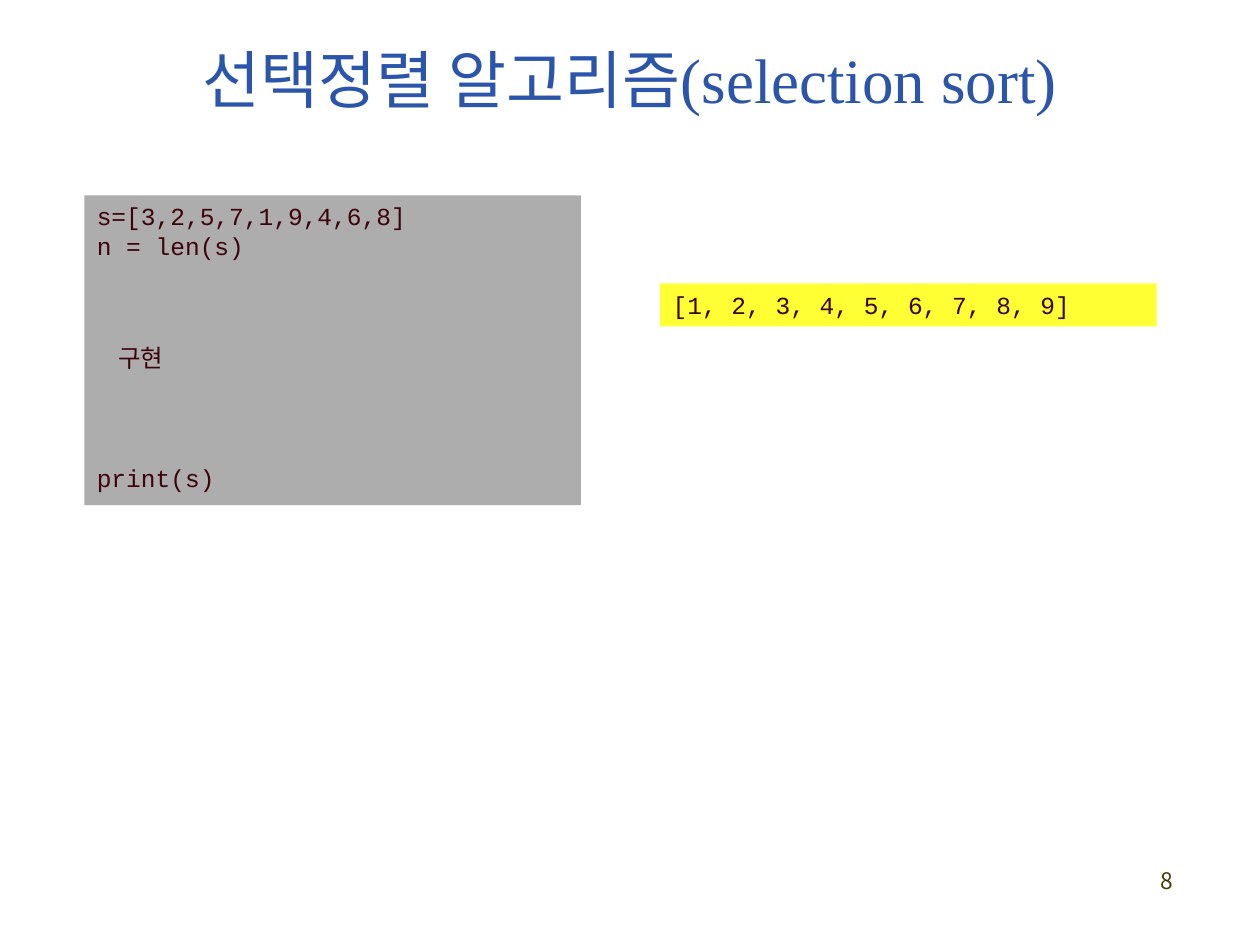
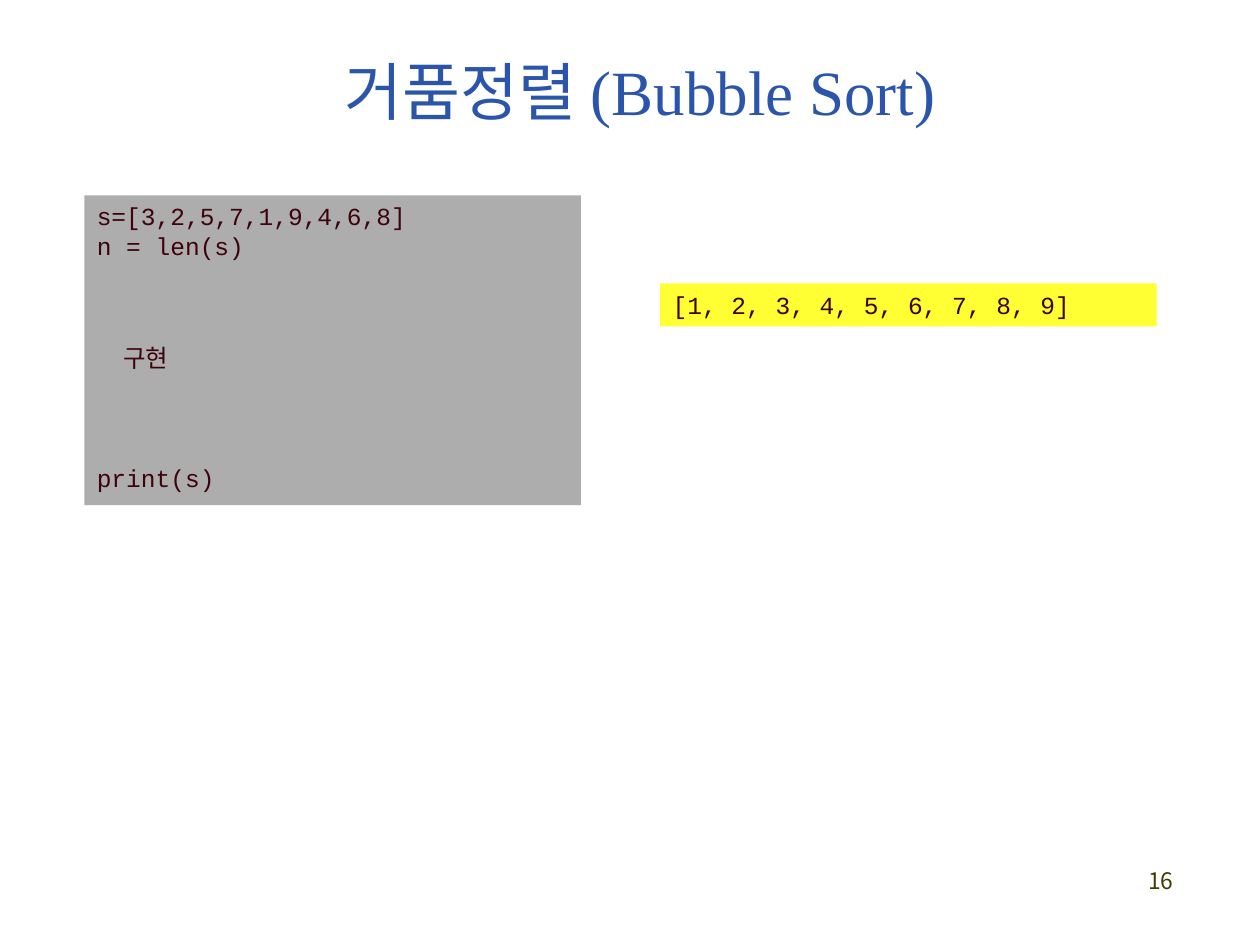
from lxml import etree
from pptx import Presentation
from pptx.dml.color import RGBColor
from pptx.enum import shapes, text
from pptx.oxml.ns import qn
from pptx.util import Inches, Pt

TITLE_BLUE = RGBColor(0x2A, 0x55, 0xAA)
CODE_MAROON = RGBColor(0x3E, 0x02, 0x0C)
NUMBER_OLIVE = RGBColor(0x3F, 0x3E, 0x00)
CODE_GRAY = RGBColor(0xAD, 0xAD, 0xAD)
RESULT_YELLOW = RGBColor(0xFF, 0xFF, 0x33)
KOREAN_FONT = "Noto Sans CJK KR"
CODE_FONT = "Courier New"
LEFT, CENTER, RIGHT = text.PP_ALIGN.LEFT, text.PP_ALIGN.CENTER, text.PP_ALIGN.RIGHT


def write(paragraph, words, font, size, color, align=LEFT):
    """Add one run, with the Korean font for its East Asian letters."""
    paragraph.alignment = align
    run = paragraph.add_run()
    run.text = words
    run.font.name = font
    run.font.size = Pt(size)
    run.font.color.rgb = color
    etree.SubElement(run.font._element, qn("a:ea"), typeface=KOREAN_FONT)


def add_panel(slide, left, top, width, height, fill, lines):
    """Draw a filled box of code; lines are (words, points before, indent in inches)."""
    panel = slide.shapes.add_shape(
        shapes.MSO_SHAPE.RECTANGLE, Inches(left), Inches(top), Inches(width), Inches(height))
    panel.shadow.inherit = False
    panel.fill.solid()
    panel.fill.fore_color.rgb = fill
    panel.line.fill.background()
    frame = panel.text_frame
    frame.word_wrap = True
    frame.vertical_anchor = text.MSO_ANCHOR.TOP
    for index, (words, before, indent) in enumerate(lines):
        paragraph = frame.add_paragraph() if index else frame.paragraphs[0]
        if before:
            paragraph.space_before = Pt(before)
        if indent:
            paragraph._p.get_or_add_pPr().set("marL", str(Inches(indent)))
        write(paragraph, words, CODE_FONT, 14, CODE_MAROON)


# title, title top, title left, title height, indent of the task line, page number
sorts = [
    ("선택정렬 알고리즘(selection sort)", 0, 0.75, 1.25, 0.17, "8"),
    ("거품정렬 (Bubble Sort)", 0.34, 0.83, 0.75, 0.21, "16"),
]

deck = Presentation()
deck.slide_width, deck.slide_height = Inches(10), Inches(7.5)

for title, title_top, title_left, title_height, task_indent, page in sorts:
    slide = deck.slides.add_slide(deck.slide_layouts[6])

    number = slide.shapes.add_textbox(Inches(7.33), Inches(6.83), Inches(2.08), Inches(0.5))
    number.text_frame.word_wrap = True
    write(number.text_frame.paragraphs[0], page, KOREAN_FONT, 13, NUMBER_OLIVE, RIGHT)

    add_panel(slide, 0.67, 1.55, 3.94, 2.46, CODE_GRAY, [
        ("s=[3,2,5,7,1,9,4,6,8]", 0, 0),
        ("n = len(s)", 0, 0),
        ("구현", 47, task_indent),
        ("print(s)", 52, 0),
    ])
    add_panel(slide, 5.24, 2.25, 3.94, 0.34, RESULT_YELLOW,
              [("[1, 2, 3, 4, 5, 6, 7, 8, 9]", 0, 0)])

    heading = slide.shapes.add_textbox(
        Inches(title_left), Inches(title_top), Inches(8.5), Inches(title_height))
    heading.text_frame.word_wrap = True
    heading.text_frame.vertical_anchor = text.MSO_ANCHOR.MIDDLE
    write(heading.text_frame.paragraphs[0], title, "Times New Roman", 36, TITLE_BLUE, CENTER)

deck.save("out.pptx")
